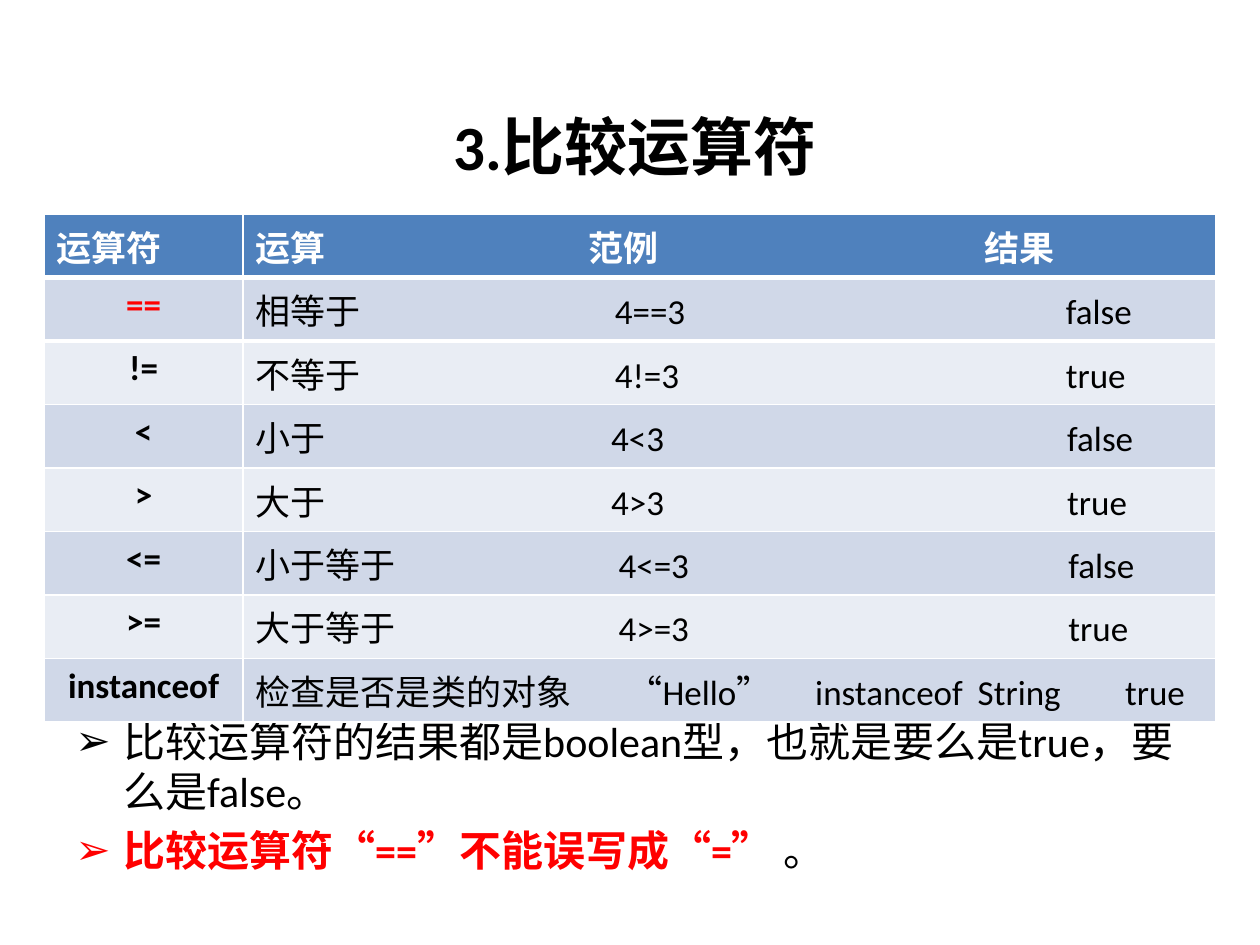
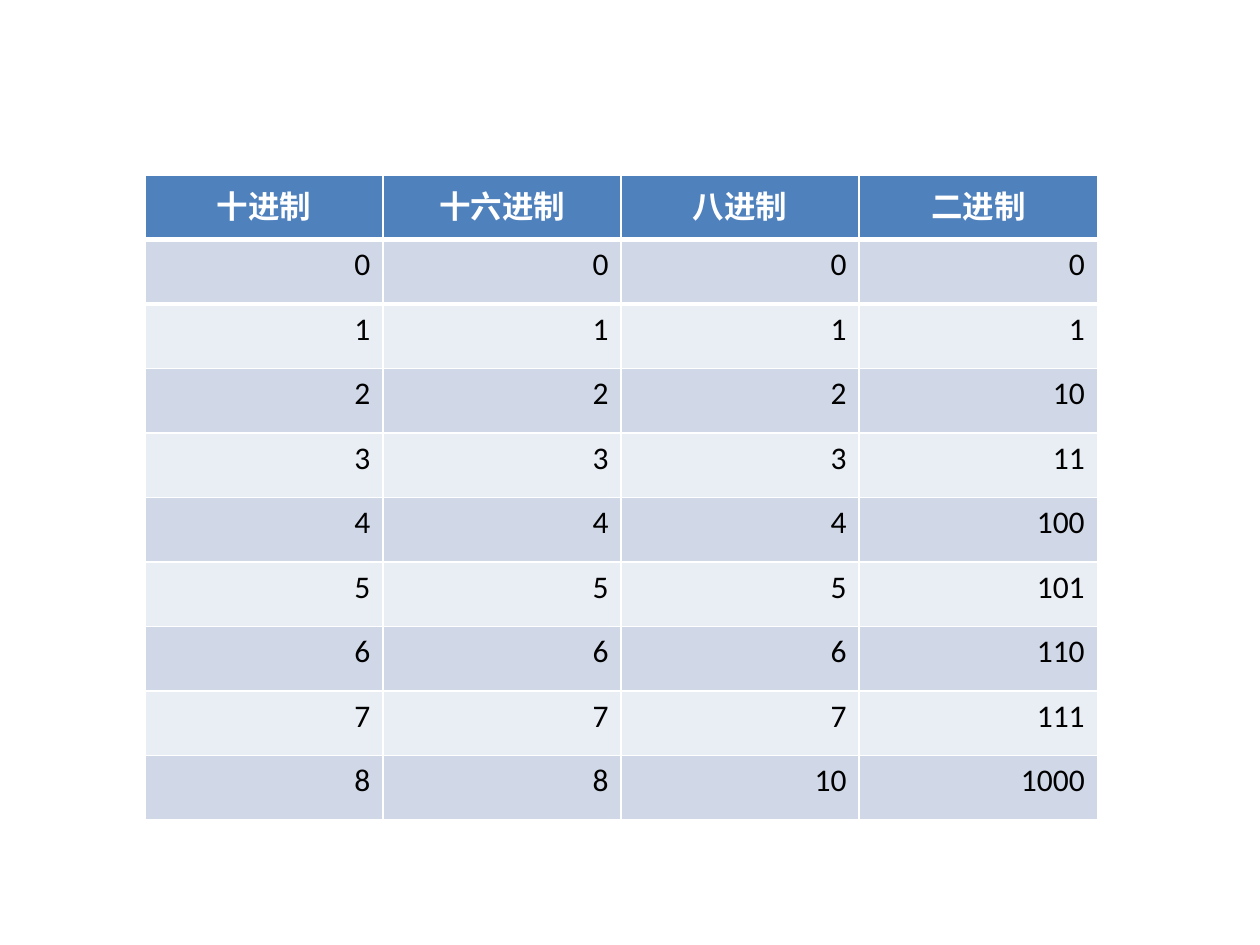
from lxml import etree
from pptx import Presentation
from pptx.dml.color import RGBColor
from pptx.enum.text import MSO_ANCHOR, PP_ALIGN
from pptx.oxml.ns import qn
from pptx.util import Inches, Pt

CENTER, RIGHT = PP_ALIGN.CENTER, PP_ALIGN.RIGHT
MIDDLE = MSO_ANCHOR.MIDDLE
TITLE_ONLY, BLANK = 5, 6
BODY_FONT, HEADER_FONT = "Calibri", "Times New Roman"
BLACK, WHITE, RED = "000000", "FFFFFF", "FF0000"
HEADER_FILL, BAND_FILLS = "4F81BD", ("D0D8E8", "E9EDF4")

HEADER_TABS, EQUALITY_TABS = (2.64, 5.78), (2.85, 6.43)
ORDER_TABS, ORDER_EQUAL_TABS = (2.82, 6.44), (2.88, 6.45)
INSTANCEOF_TABS = (2.95, 4.44, 5.73, 6.9)
OPERATOR_ROWS = [
    ("运算符", "运算\t范例\t结果", HEADER_TABS),
    ("==", "相等于\t4==3\tfalse", EQUALITY_TABS),
    ("!=", "不等于\t4!=3\ttrue", EQUALITY_TABS),
    ("<", "小于\t4<3\tfalse", ORDER_TABS),
    (">", "大于\t4>3\ttrue", ORDER_TABS),
    ("<=", "小于等于\t4<=3\tfalse", ORDER_EQUAL_TABS),
    (">=", "大于等于\t4>=3\ttrue", ORDER_EQUAL_TABS),
    ("instanceof", "检查是否是类的对象\t“Hello”\tinstanceof\tString\ttrue", INSTANCEOF_TABS),
]
NOTES = [
    [("比较运算符的结果都是boolean型，也就是要么是true，要么是false。", BLACK, False)],
    [("比较运算符“==”不能误写成“=” ", RED, True), ("。", BLACK, False)],
]
BASE_HEADERS = ("十进制", "十六进制", "八进制", "二进制")
BASE_ROWS = [(str(n), str(n), f"{n:o}", f"{n:b}") for n in range(9)]


def color(hex_code):
    """Turn a hex string into a colour."""
    return RGBColor.from_string(hex_code)


def style_font(font, size, hex_code, bold=False, name=BODY_FONT):
    """Set the look of a paragraph or run font."""
    font.name, font.size, font.bold = name, Pt(size), bold
    font.color.rgb = color(hex_code)


def add_tabs(paragraph, positions):
    """Give a paragraph left tab stops at the positions in inches."""
    tab_list = etree.SubElement(paragraph._p.get_or_add_pPr(), qn("a:tabLst"))
    for position in positions:
        etree.SubElement(tab_list, qn("a:tab"), pos=str(Inches(position)), algn="l")


def add_bullet(paragraph, indent):
    """Give a paragraph a hanging arrow bullet."""
    properties = paragraph._p.get_or_add_pPr()
    properties.set("marL", str(Inches(indent)))
    properties.set("indent", str(-Inches(indent)))
    etree.SubElement(properties, qn("a:buFont"), typeface=BODY_FONT)
    etree.SubElement(properties, qn("a:buChar"), char="➢")


def add_border(cell, side, width):
    """Draw a white line on one side of a cell."""
    line = etree.Element(qn(f"a:{side}"), w=str(Pt(width)))
    fill = etree.SubElement(line, qn("a:solidFill"))
    etree.SubElement(fill, qn("a:srgbClr"), val=WHITE)
    cell._tc.get_or_add_tcPr().insert(0, line)


def add_table(slide, box, rows, column_widths):
    """Add a banded table with its texts, fills and header rule."""
    frame = slide.shapes.add_table(len(rows), len(column_widths), *map(Inches, box))
    table = frame.table
    for column, column_width in zip(table.columns, column_widths):
        column.width = Inches(column_width)
    for row_index, texts in enumerate(rows):
        fill = BAND_FILLS[(row_index - 1) % 2] if row_index else HEADER_FILL
        for column_index, text in enumerate(texts):
            cell = table.cell(row_index, column_index)
            cell.fill.solid()
            cell.fill.fore_color.rgb = color(fill)
            cell.text_frame.text = text
    for row_index, side in enumerate(("lnB", "lnT")):
        for cell in table.rows[row_index].cells:
            add_border(cell, side, 3)
    return table


def add_title(slide, box, text):
    """Place and format the slide title."""
    title = slide.shapes.title
    title.left, title.top, title.width, title.height = map(Inches, box)
    title.text_frame.text = text
    title.text_frame.vertical_anchor = MIDDLE
    paragraph = title.text_frame.paragraphs[0]
    paragraph.alignment = CENTER
    style_font(paragraph.font, 36, BLACK, True)


def add_notes_list(slide, box, notes):
    """Add the bulleted remarks under the operator table."""
    frame = slide.shapes.add_textbox(*map(Inches, box)).text_frame
    frame.word_wrap = True
    for index, runs in enumerate(notes):
        paragraph = frame.add_paragraph() if index else frame.paragraphs[0]
        if index:
            paragraph.space_before = Pt(4.8)
        add_bullet(paragraph, 0.38)
        for text, hex_code, bold in runs:
            run = paragraph.add_run()
            run.text = text
            style_font(run.font, 24, hex_code, bold)


def add_operator_table(slide, box):
    """Add the comparison operators with tabbed examples and results."""
    name_width = 1.58
    texts = [row[:2] for row in OPERATOR_ROWS]
    table = add_table(slide, box, texts, (name_width, box[2] - name_width))
    for index, (operator, _, tabs) in enumerate(OPERATOR_ROWS):
        name, example = [cell.text_frame.paragraphs[0] for cell in table.rows[index].cells]
        add_tabs(example, tabs)
        if index == 0:
            for paragraph in (name, example):
                style_font(paragraph.font, 20, WHITE, True, HEADER_FONT)
        else:
            name.alignment = CENTER
            style_font(name.font, 20, RED if operator == "==" else BLACK, True)
            style_font(example.font, 20, BLACK)


def add_base_table(slide, box):
    """Add the table of numbers in four bases."""
    columns = len(BASE_HEADERS)
    table = add_table(slide, box, [BASE_HEADERS, *BASE_ROWS], [box[2] / columns] * columns)
    for index, row in enumerate(table.rows):
        for cell in row.cells:
            paragraph = cell.text_frame.paragraphs[0]
            paragraph.alignment = RIGHT if index else CENTER
            style_font(paragraph.font, 18, BLACK if index else WHITE, index == 0)


def build_operator_slide(presentation):
    """Build the slide on comparison operators."""
    slide = presentation.slides.add_slide(presentation.slide_layouts[TITLE_ONLY])
    add_title(slide, (2.4, 0.68, 5.28, 0.94), "3.比较运算符")
    add_notes_list(slide, (0.5, 5.63, 9, 1.41), NOTES)
    add_operator_table(slide, (0.35, 1.7, 9.3, 4.03))


def build_base_slide(presentation):
    """Build the slide on number bases."""
    slide = presentation.slides.add_slide(presentation.slide_layouts[BLANK])
    add_base_table(slide, (1.15, 1.39, 7.56, 5.12))


def main():
    """Build and save the presentation."""
    presentation = Presentation()
    presentation.slide_width, presentation.slide_height = Inches(10), Inches(7.5)
    build_operator_slide(presentation)
    build_base_slide(presentation)
    presentation.save("out.pptx")


if __name__ == "__main__":
    main()
